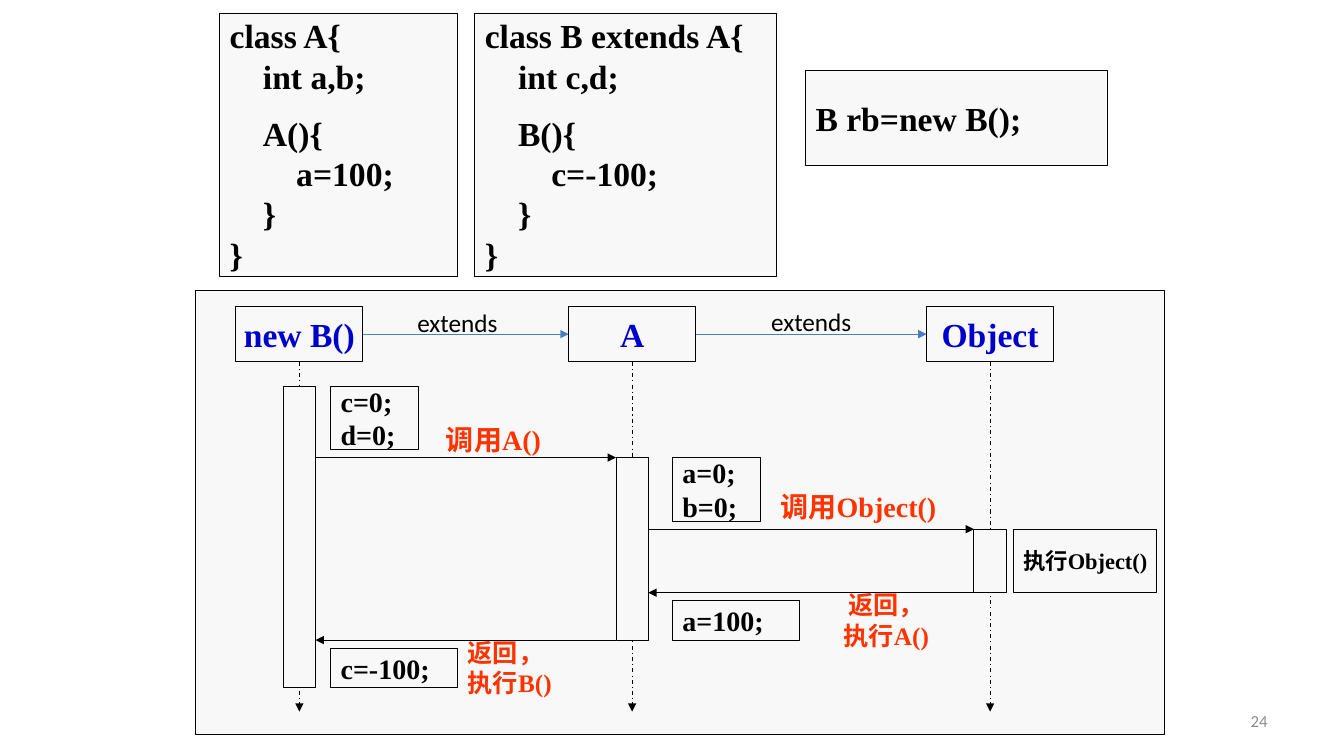
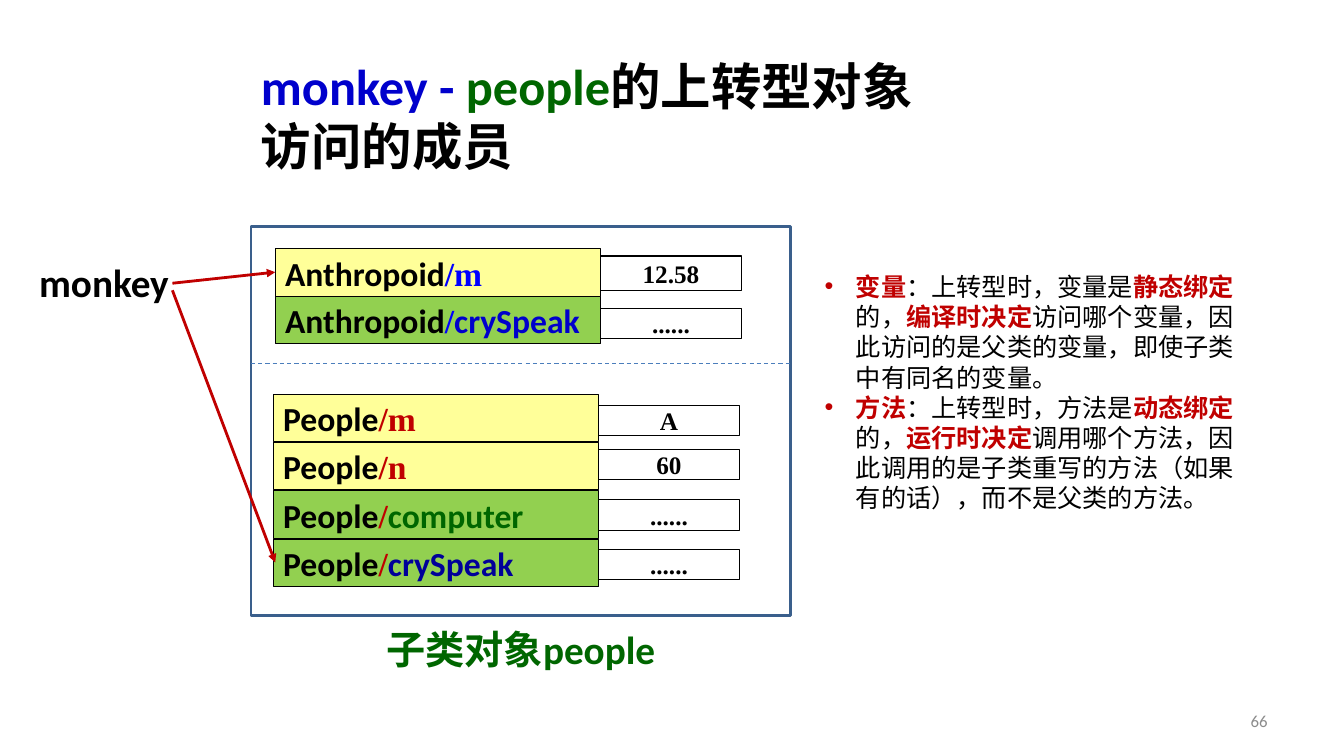
"""Two slides on Java constructors and upcast objects."""
from lxml.etree import SubElement
from pptx import Presentation
from pptx.dml.color import RGBColor as RGB
from pptx.enum.dml import MSO_LINE as Dash
from pptx.enum.shapes import MSO_CONNECTOR as Conn, MSO_SHAPE as Shape
from pptx.enum.text import MSO_ANCHOR as Anchor, PP_ALIGN as Align
from pptx.oxml.ns import qn
from pptx.util import Inches, Pt

BLACK, GREY = RGB(0, 0, 0), RGB(0x8C, 0x8C, 0x8C)
PANEL = RGB(0xF8, 0xF8, 0xF8)
BLUE, BRIGHT, NAVY = RGB(0, 0, 0xCC), RGB(0, 0, 0xFF), RGB(0, 0, 0x99)
STEEL, FRAME = RGB(0x4B, 0x7E, 0xBC), RGB(0x3A, 0x5F, 0x8C)
GREEN, LIME = RGB(0, 0x66, 0), RGB(0x92, 0xD0, 0x50)
YELLOW = RGB(0xFF, 0xFF, 0x99)
RED, ORANGE = RGB(0xC0, 0, 0), RGB(0xFF, 0x33, 0)
SANS, SERIF = "Calibri", "Times New Roman"
TAB = 0.33

CODE = [
    ((2.18, 0.13, 2.36, 2.61),
     ["class A{", "\tint a,b;", "\tA(){", "\t\ta=100;", "\t}", "}"]),
    ((4.71, 0.13, 2.99, 2.61),
     ["class B extends A{", "\tint c,d;", "\tB(){", "\t\tc=-100;", "\t}", "}"]),
    ((7.99, 0.7, 2.99, 0.94), ["B rb=new B();"]),
]
HEAD_TOP, HEAD_W, HEAD_H, LIFE_END, BAR_W = 3.04, 1.26, 0.55, 7.06, 0.32
LIFELINES = [("new B()", 2.97, 3.83, 6.82), ("A", 6.27, 4.54, 6.35),
             ("Object", 9.82, 5.25, 5.88)]
CALLS = [(0, 1, 4.54), (1, 2, 5.25), (2, 1, 5.88), (1, 0, 6.35)]
STEPS = [
    ((3.28, 3.83, 0.87, 0.63), ["c=0;", "d=0;"], 20),
    ((6.67, 4.54, 0.87, 0.63), ["a=0;", "b=0;"], 20),
    ((6.67, 5.96, 1.26, 0.39), ["a=100;"], 20),
    ((3.28, 6.43, 1.26, 0.39), ["c=-100;"], 20),
    ((10.05, 5.25, 1.42, 0.63), ["执行Object()"], 16),
]
NOTES = [
    ((3.91, 4.14, 1.97, 0.44), "调用A()", 20, Align.CENTER),
    ((7.53, 4.81, 1.97, 0.44), "调用Object()", 20, Align.CENTER),
    ((8.24, 5.8, 1.1, 0.71), "返回，执行A()", 18, Align.CENTER),
    ((4.54, 6.27, 1.18, 0.71), "返回，执行B()", 18, Align.LEFT),
]
EXTENDS = [(4.04, 3), (7.55, 2.99)]

TITLE = [("monkey - ", BLUE), ("people", GREEN), ("的上转型对象\n访问的成员", BLACK)]
ROW_W, ROW_H, VALUE_W = 3.23, 0.47, 1.39
MEMBERS = [
    ("Anthropoid", 2.73, 2.47, 0.47, [
        ([("/m", BRIGHT, SERIF)], YELLOW, "12.58", 2.54, 0.34),
        ([("/", BRIGHT, SERIF), ("crySpeak", BLUE)], LIME, "......", 3.06, 0.3)]),
    ("People", 2.71, 3.91, 0.48, [
        ([("/m", RED, SERIF)], YELLOW, "A", 4.02, 0.3),
        ([("/n", RED, SERIF)], YELLOW, "60", 4.46, 0.3),
        ([("/", RED, SERIF), ("computer", GREEN)], LIME, "......", 4.96, 0.3),
        ([("/", RED, SERIF), ("crySpeak", NAVY)], LIME, "......", 5.45, 0.3)]),
]
POINTS = [
    ["变量", "：上转型时，变量是", "静态绑定", "的，", "编译时决定",
     "访问哪个变量，因此访问的是父类的变量，即使子类中有同名的变量。"],
    ["方法", "：上转型时，方法是", "动态绑定", "的，", "运行时决定",
     "调用哪个方法，因此调用的是子类重写的方法（如果有的话），而不是父类的方法。"],
]


def write(sp, paras, size=18, font=SANS, color=BLACK, bold=True, align=Align.LEFT,
          anchor=Anchor.MIDDLE, wrap=False, bullet=False):
    """Fill a shape; a run is a string or (text, colour, font, bold)."""
    tf = sp.text_frame
    tf.word_wrap, tf.vertical_anchor = wrap, anchor
    for i, runs in enumerate(paras):
        p = tf.paragraphs[0] if i == 0 else tf.add_paragraph()
        p.alignment = align
        runs = [runs] if isinstance(runs, str) else runs
        if bullet:
            pPr = p._p.get_or_add_pPr()
            pPr.set("marL", str(Inches(0.31)))
            pPr.set("indent", str(-Inches(0.31)))
            SubElement(pPr, qn("a:buFont")).set("typeface", "Arial")
            SubElement(pPr, qn("a:buChar")).set("char", "•")
        for run in runs:
            text, c, f, b = ((run,) if isinstance(run, str) else run) + (None,) * (
                3 if isinstance(run, str) else 4 - len(run))
            tabs = len(text) - len(text.lstrip("\t"))
            if tabs:
                p._p.get_or_add_pPr().set("marL", str(Inches(TAB * tabs)))
            if text.endswith("(){"):
                p.space_before = Pt(12)
            for n, part in enumerate(text.lstrip("\t").split("\n")):
                if n:
                    p.add_line_break()
                r = p.add_run()
                r.text = part
                r.font.size, r.font.name = Pt(size), f or font
                r.font.bold = bold if b is None else b
                r.font.color.rgb = c or color


def box(s, at, paras=(), fill=PANEL, line=BLACK, width=0.75, **fmt):
    """Draw a bordered rectangle."""
    sp = s.shapes.add_shape(Shape.RECTANGLE, *map(Inches, at))
    sp.shadow.inherit = False
    if fill is None:
        sp.fill.background()
    else:
        sp.fill.solid()
        sp.fill.fore_color.rgb = fill
    sp.line.color.rgb, sp.line.width = line, Pt(width)
    write(sp, paras, **fmt)


def label(s, at, paras, wrap=True, anchor=Anchor.TOP, **fmt):
    """Place plain text."""
    sp = s.shapes.add_textbox(*map(Inches, at))
    write(sp, paras, wrap=wrap, anchor=anchor, **fmt)


def link(s, x1, y1, x2, y2, color=BLACK, width=0.75, dash=None, arrow=True):
    """Draw a straight line or arrow."""
    cn = s.shapes.add_connector(Conn.STRAIGHT, *map(Inches, (x1, y1, x2, y2)))
    cn.line.color.rgb, cn.line.width = color, Pt(width)
    if dash:
        cn.line.dash_style = dash
    if arrow:
        SubElement(cn.line._get_or_add_ln(), qn("a:tailEnd")).set("type", "triangle")
    SubElement(cn._element.spPr, qn("a:effectLst"))


def new_slide(prs, number):
    """Add a blank slide with its page number."""
    s = prs.slides.add_slide(prs.slide_layouts[6])
    label(s, (9.56, 6.95, 3.11, 0.4), [number], size=12, color=GREY, bold=False,
          align=Align.RIGHT, anchor=Anchor.MIDDLE)
    return s


def constructor_slide(prs):
    """Show the order of constructor calls."""
    s = new_slide(prs, "24")
    for at, lines in CODE:
        box(s, at, lines, size=24, font=SERIF)
    box(s, (1.94, 2.88, 9.61, 4.41))
    for name, x, top, bottom in LIFELINES:
        box(s, (x - HEAD_W / 2, HEAD_TOP, HEAD_W, HEAD_H), [name], size=24,
            font=SERIF, color=BLUE, align=Align.CENTER)
        link(s, x, HEAD_TOP + HEAD_H, x, LIFE_END, dash=Dash.DASH_DOT)
        box(s, (x - BAR_W / 2, top, BAR_W, bottom - top))
    for a, b, y in CALLS:
        side = BAR_W / 2 if a < b else -BAR_W / 2
        link(s, LIFELINES[a][1] + side, y, LIFELINES[b][1] - side, y)
    for at, lines, size in STEPS:
        box(s, at, lines, size=size, font=SERIF)
    for at, text, size, align in NOTES:
        label(s, at, [text], size=size, font=SERIF, color=ORANGE, align=align)
    for (x, y), left, right in zip(EXTENDS, LIFELINES, LIFELINES[1:]):
        mid = HEAD_TOP + HEAD_H / 2
        link(s, left[1] + HEAD_W / 2, mid, right[1] - HEAD_W / 2, mid, color=STEEL)
        label(s, (x, y, 1.01, 0.4), ["extends"], bold=False, wrap=False)


def upcast_slide(prs):
    """Show which members an upcast object reaches."""
    s = new_slide(prs, "66")
    label(s, (2.49, 0.52, 9, 1.25), [TITLE], size=36, anchor=Anchor.MIDDLE)
    box(s, (2.49, 2.25, 5.35, 3.86), fill=None, line=FRAME, width=2)
    link(s, 2.49, 3.61, 7.84, 3.61, color=STEEL, dash=Dash.DASH, arrow=False)
    for owner, x, top, pitch, rows in MEMBERS:
        for i, (member, fill, value, y, h) in enumerate(rows):
            box(s, (x + ROW_W, y, VALUE_W, h), [value], fill=None, font=SERIF,
                align=Align.CENTER)
            box(s, (x, top + i * pitch, ROW_W, ROW_H), [[owner, *member]],
                fill=fill, size=24)
    label(s, (3.59, 6.15, 3.15, 0.57), ["子类对象people"], size=28, color=GREEN,
          align=Align.CENTER)
    label(s, (0.29, 2.51, 1.64, 0.57), ["monkey"], size=28)
    for start, end in [(2.88, 5.58), (2.81, 2.7)]:
        link(s, 1.71, start, 2.73, end, color=RED, width=2)
    points = [[(t, BLACK if i % 2 else RED, SANS, i % 2 == 0)
               for i, t in enumerate(runs)] for runs in POINTS]
    label(s, (8.08, 2.64, 4.28, 2.52), points, bullet=True)


def main():
    prs = Presentation()
    prs.slide_width, prs.slide_height = Inches(13.33), Inches(7.5)
    constructor_slide(prs)
    upcast_slide(prs)
    prs.save("out.pptx")


if __name__ == "__main__":
    main()
